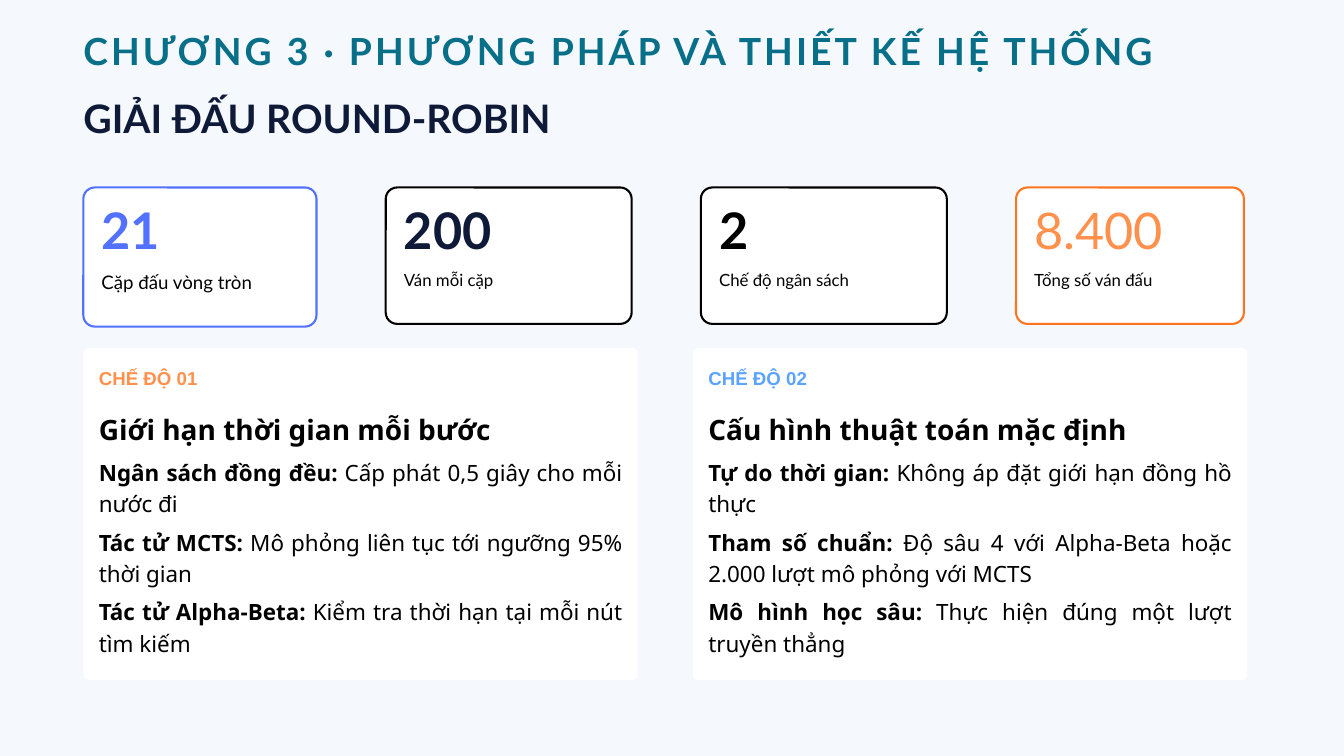
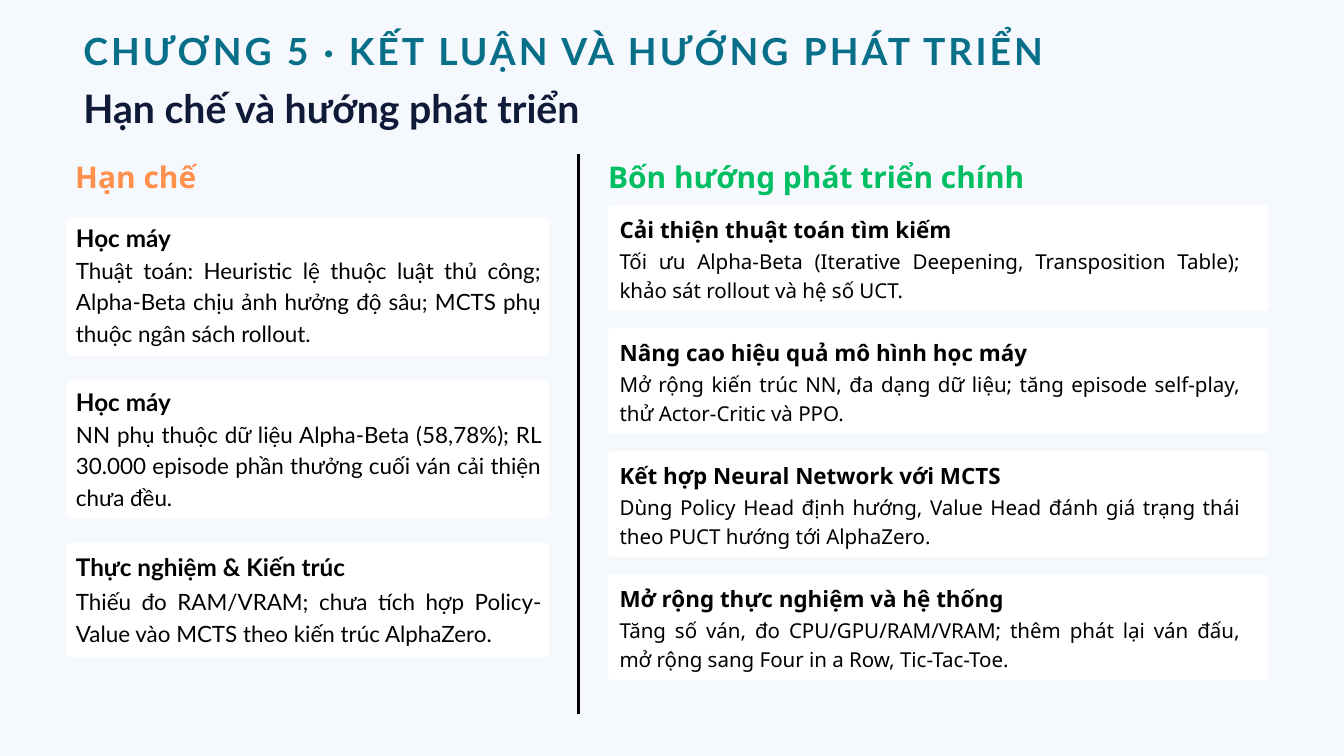
"""Build two slides: the round-robin tournament, and limits with next steps."""
from lxml import etree
from pptx import Presentation
from pptx import util as u
from pptx.dml.color import RGBColor
from pptx.enum import shapes, text
from pptx.oxml import ns

PALE = RGBColor(0xF5, 0xF8, 0xFD)
WHITE = RGBColor(0xFF, 0xFF, 0xFF)
BLACK = RGBColor(0, 0, 0)
NAVY = RGBColor(0x0E, 0x1A, 0x38)
TEAL = RGBColor(0x08, 0x6F, 0x89)
BLUE = RGBColor(0x52, 0x71, 0xFF)
SKY = RGBColor(0x5C, 0xA3, 0xFF)
PEACH = RGBColor(0xFF, 0x91, 0x4D)
FLAME = RGBColor(0xFF, 0x75, 0x1F)
GREEN = RGBColor(0x00, 0xBF, 0x63)

WIDE, HIGH = 20, 11.25
EDGE = 1.24
LATO, NOTO, ARIAL = "Lato", "Noto Sans", "Arial"
LEFT, JUST = text.PP_ALIGN.LEFT, text.PP_ALIGN.JUSTIFY

# Style: font, size, line height, alignment
CHAP = (LATO, 40, 48, LEFT)
TITLE = (LATO, 42, 46.2, LEFT)
COUNT = (LATO, 54, 54, LEFT)
TAG = (ARIAL, 20, 28, LEFT)
MODE = (NOTO, 30, 42, LEFT)
POINT = (NOTO, 24, 33.6, JUST)
SIDE = (NOTO, 32, 44.8, LEFT)
FLAW = ((LATO, 26, 36.4, LEFT), (LATO, 24, 33.6, JUST))
STEP = ((NOTO, 24, 33.6, LEFT), (NOTO, 22, 30.8, JUST))

# Count, label, width, height, label size, border, colour, bold
STATS = [
    ("21", "Cặp đấu vòng tròn", 3.47, 2.07, 20, BLUE, BLUE, True),
    ("200", "Ván mỗi cặp", 3.66, 2.03, 18, BLACK, NAVY, True),
    ("2", "Chế độ ngân sách", 3.66, 2.03, 18, BLACK, BLACK, True),
    ("8.400", "Tổng số ván đấu", 3.39, 2.03, 18, FLAME, PEACH, False),
]
MODES = [
    ("CHẾ ĐỘ 01", PEACH, "Giới hạn thời gian mỗi bước", [
        ("Ngân sách đồng đều:", " Cấp phát 0,5 giây cho mỗi nước đi"),
        ("Tác tử MCTS:", " Mô phỏng liên tục tới ngưỡng 95% thời gian"),
        ("Tác tử Alpha-Beta:", " Kiểm tra thời hạn tại mỗi nút tìm kiếm"),
    ]),
    ("CHẾ ĐỘ 02", SKY, "Cấu hình thuật toán mặc định", [
        ("Tự do thời gian:", " Không áp đặt giới hạn đồng hồ thực"),
        ("Tham số chuẩn:", " Độ sâu 4 với Alpha-Beta hoặc 2.000 lượt mô phỏng với MCTS"),
        ("Mô hình học sâu:", " Thực hiện đúng một lượt truyền thẳng"),
    ]),
]
# Head, body, card height, head offset, body offset
FLAWS = [
    ("Học máy", "Thuật toán: Heuristic lệ thuộc luật thủ công; Alpha-Beta chịu ảnh hưởng "
     "độ sâu; MCTS phụ thuộc ngân sách rollout.", 2.07, 0.02, 0.53),
    ("Học máy", "NN phụ thuộc dữ liệu Alpha-Beta (58,78%); RL 30.000 episode phần thưởng "
     "cuối ván cải thiện chưa đều.", 2.07, 0.04, 0.55),
    ("Thực nghiệm & Kiến trúc", "Thiếu đo RAM/VRAM; chưa tích hợp Policy-Value vào MCTS "
     "theo kiến trúc AlphaZero.", 1.72, 0.07, 0.62),
]
STEPS = [(head, body, 1.58, 0.1, 0.6) for head, body in (
    ("Cải thiện thuật toán tìm kiếm", "Tối ưu Alpha-Beta (Iterative Deepening, "
     "Transposition Table); khảo sát rollout và hệ số UCT."),
    ("Nâng cao hiệu quả mô hình học máy", "Mở rộng kiến trúc NN, đa dạng dữ liệu; tăng "
     "episode self-play, thử Actor-Critic và PPO."),
    ("Kết hợp Neural Network với MCTS", "Dùng Policy Head định hướng, Value Head đánh giá "
     "trạng thái theo PUCT hướng tới AlphaZero."),
    ("Mở rộng thực nghiệm và hệ thống", "Tăng số ván, đo CPU/GPU/RAM/VRAM; thêm phát lại "
     "ván đấu, mở rộng sang Four in a Row, Tic-Tac-Toe."),
)]


def place(shape, x, y, w, h):
    shape.left, shape.top, shape.width, shape.height = map(u.Inches, (x, y, w, h))


def write(shape, paras, style, color=BLACK, gap=0, track=0):
    """Fill a shape with paragraphs, each a list of (words, bold) runs."""
    face, size, lead, align = style
    frame = shape.text_frame
    frame.word_wrap = True
    frame.auto_size = text.MSO_AUTO_SIZE.NONE
    frame.vertical_anchor = text.MSO_ANCHOR.TOP
    frame.margin_left = frame.margin_right = frame.margin_top = frame.margin_bottom = 0
    for i, runs in enumerate(paras):
        para = frame.add_paragraph() if i else frame.paragraphs[0]
        para.alignment = align
        para.line_spacing = u.Pt(lead)
        para.space_before = u.Pt(gap if i else 0)
        para.space_after = u.Pt(0)
        if shape.is_placeholder:
            props = para._p.get_or_add_pPr()
            props.set("marL", "0")
            props.set("indent", "0")
            etree.SubElement(props, ns.qn("a:buNone"))
        for words, bold in runs:
            run = para.add_run()
            run.text = words
            font = run.font
            font.name, font.size, font.bold = face, u.Pt(size), bold
            font.color.rgb = color
            if track:
                run._r.get_or_add_rPr().set("spc", str(track))


def label(slide, box, words, style, color=BLACK, bold=True, track=0):
    shape = slide.shapes.add_textbox(*map(u.Inches, box))
    write(shape, [[(words, bold)]], style, color, track=track)


def card(slide, x, y, w, h, curve=0.08, edge=None):
    shape = slide.shapes.add_shape(
        shapes.MSO_SHAPE.ROUNDED_RECTANGLE, *map(u.Inches, (x, y, w, h)))
    shape.adjustments[0] = curve / min(w, h)
    shape.shadow.inherit = False
    shape.fill.solid()
    shape.fill.fore_color.rgb = WHITE
    if edge is None:
        shape.line.fill.background()
    else:
        shape.line.color.rgb = edge
        shape.line.width = u.Pt(2.25)


def start(deck, kind, chapter, title, top):
    slide = deck.slides.add_slide(deck.slide_layouts.get_by_name(kind))
    label(slide, (EDGE, 0.42, 17.85, 0.66), chapter, CHAP, TEAL, track=330)
    place(slide.shapes.title, EDGE, top, 11.02, 0.64)
    write(slide.shapes.title, [[(title, True)]], TITLE, NAVY)
    return slide


def stats(slide):
    x, y, gap, pad = EDGE, 2.79, 1.03, 0.27
    for count, words, w, h, size, edge, color, bold in STATS:
        card(slide, x, y, w, h, 0.17, edge)
        label(slide, (x + pad, y + 0.33, w - pad, 0.82), count, COUNT, color, bold)
        style = (LATO, size, size * 1.4, LEFT)
        label(slide, (x + pad, y + 1.18, w - pad, 0.36), words, style, bold=False)
        x += w + gap


def modes(slide):
    y, w, pitch, pad = 5.18, 8.25, 9.07, 0.23
    bodies = [p for p in slide.placeholders if p.placeholder_format.idx]
    for i, (tag, color, head, points) in enumerate(MODES):
        x = EDGE + i * pitch
        card(slide, x, y, w, 4.94)
        label(slide, (x + pad, y + 0.23, 1.98, 0.38), tag, TAG, color)
        label(slide, (x + pad, y + 0.88, 7.23, 0.56), head, MODE)
        body = bodies[i]
        place(body, x + pad, y + 1.58, w - 2 * pad, 2.97)
        write(body, [[(lead, True), (rest, False)] for lead, rest in points], POINT, gap=7.7)
        slide.shapes._spTree.append(body._element)


def stack(slide, items, x, y, w, gap, inner, curve, styles):
    pad, span = inner
    for head, body, h, rise, drop in items:
        card(slide, x, y, w, h, curve)
        label(slide, (x + pad, y + rise, span, 0.47), head, styles[0])
        label(slide, (x + pad, y + drop, span, h - drop), body, styles[1], bold=False)
        y += h + gap


def divide(slide, x, top, end):
    line = slide.shapes.add_connector(
        shapes.MSO_CONNECTOR.STRAIGHT, *map(u.Inches, (x, top, x, end)))
    line.line.color.rgb = BLACK
    line.line.width = u.Pt(3)
    etree.SubElement(line._element.spPr, ns.qn("a:effectLst"))


def main():
    deck = Presentation()
    deck.slide_width, deck.slide_height = u.Inches(WIDE), u.Inches(HIGH)
    fill = deck.slide_master.background.fill
    fill.solid()
    fill.fore_color.rgb = PALE

    games = start(deck, "Two Content", "CHƯƠNG 3 · PHƯƠNG PHÁP VÀ THIẾT KẾ HỆ THỐNG",
                  "GIẢI ĐẤU ROUND-ROBIN", 1.46)
    stats(games)
    modes(games)

    plans = start(deck, "Title Only", "CHƯƠNG 5 · KẾT LUẬN VÀ HƯỚNG PHÁT TRIỂN",
                  "Hạn chế và hướng phát triển", 1.31)
    divide(plans, 8.61, 2.29, 10.63)
    label(plans, (1.12, 2.27, 4.83, 0.59), "Hạn chế", SIDE, PEACH)
    label(plans, (9.05, 2.27, 7.53, 0.59), "Bốn hướng phát triển chính", SIDE, GREEN)
    stack(plans, FLAWS, 0.99, 3.23, 7.18, 0.35, (0.14, 6.92), 0.08, FLAW)
    stack(plans, STEPS, 9.05, 3.05, 9.82, 0.25, (0.17, 9.23), 0.06, STEP)
    deck.save("out.pptx")


if __name__ == "__main__":
    main()
